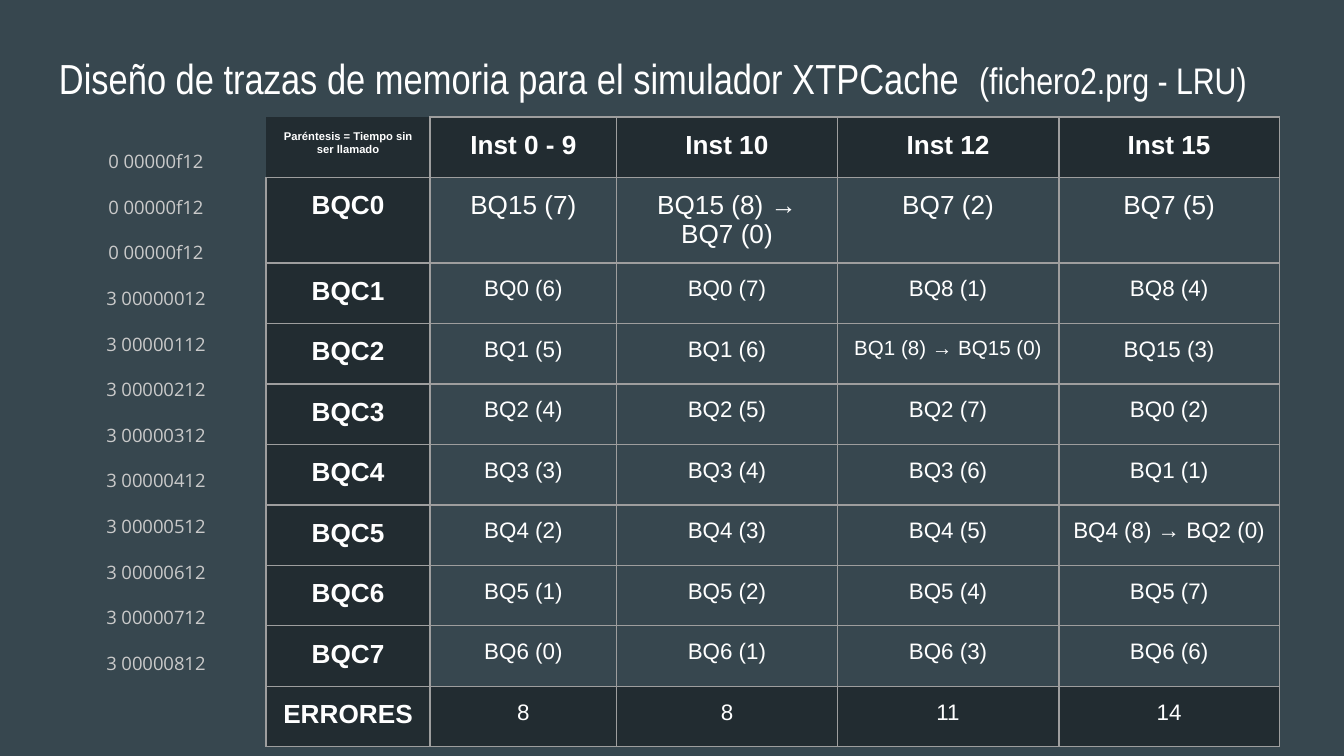
from dataclasses import dataclass

from lxml.etree import SubElement
from pptx import Presentation
from pptx.dml.color import RGBColor
from pptx.enum.text import MSO_ANCHOR, PP_ALIGN
from pptx.oxml.ns import qn
from pptx.util import Inches, Pt


@dataclass(frozen=True)
class Theme:
    background: str = "37474F"
    header_fill: str = "222C31"
    border: str = "9E9E9E"
    light: str = "FFFFFF"
    muted: str = "CACACA"
    title_font: str = "Arial Narrow"
    trace_font: str = "Open Sans"
    table_font: str = "Arial"
    title_size: float = 22.5
    subtitle_size: float = 19.8
    trace_size: float = 9.9
    heading_size: float = 14
    cell_size: float = 12
    long_cell_size: float = 11
    note_size: float = 6


theme = Theme()


def write(paragraph, text, *, size, font=theme.table_font, color=theme.light,
          bold=False, align=PP_ALIGN.CENTER):
    paragraph.alignment = align
    run = paragraph.add_run()
    run.text = text
    run.font.size = Pt(size)
    run.font.name = font
    run.font.bold = bold
    run.font.color.rgb = RGBColor.from_string(color)


def draw_borders(cell, visible_sides):
    properties = cell._tc.get_or_add_tcPr()
    for side in "LRTB":
        line = SubElement(properties, qn(f"a:ln{side}"), w=str(Pt(0.75)))
        if side in visible_sides:
            fill = SubElement(line, qn("a:solidFill"))
            SubElement(fill, qn("a:srgbClr"), val=theme.border)
        else:
            SubElement(line, qn("a:noFill"))


# Widescreen slide, 16:9
prs = Presentation()
prs.slide_width = Inches(10)
prs.slide_height = prs.slide_width * 9 // 16
slide = prs.slides.add_slide(prs.slide_layouts[6])
slide.background.fill.solid()
slide.background.fill.fore_color.rgb = RGBColor.from_string(theme.background)

# Title
title = slide.shapes.add_textbox(Inches(0.34), Inches(0.29), Inches(9.32), Inches(0.63)).text_frame
title.word_wrap = True
title.vertical_anchor = MSO_ANCHOR.TOP
title.margin_left = title.margin_right = title.margin_top = title.margin_bottom = Inches(0.1)
for part, size in (
    ("Diseño de trazas de memoria para el simulador XTPCache ", theme.title_size),
    (" (fichero2.prg - LRU)", theme.subtitle_size),
):
    write(title.paragraphs[0], part, size=size, font=theme.title_font, align=PP_ALIGN.LEFT)

# Memory trace
addresses = ["0 00000f12"] * 3 + [f"3 00000{block}12" for block in range(9)]
trace = slide.shapes.add_textbox(Inches(0.34), Inches(1.01), Inches(1.64), Inches(4.16)).text_frame
trace.word_wrap = True
trace.margin_left = trace.margin_right = trace.margin_top = trace.margin_bottom = Inches(0.1)
for index, address in enumerate(addresses):
    entry = trace.add_paragraph() if index else trace.paragraphs[0]
    entry.line_spacing = 1.05
    entry.space_before = Pt(12 if index else 0)
    write(entry, address, size=theme.trace_size, font=theme.trace_font, color=theme.muted)

# Cache contents after each instruction
rows = [
    ["Paréntesis = Tiempo sin ser llamado", "Inst 0 - 9", "Inst 10", "Inst 12", "Inst 15"],
    ["BQC0", "BQ15 (7)", "BQ15 (8) → BQ7 (0)", "BQ7 (2)", "BQ7 (5)"],
    ["BQC1", "BQ0 (6)", "BQ0 (7)", "BQ8 (1)", "BQ8 (4)"],
    ["BQC2", "BQ1 (5)", "BQ1 (6)", "BQ1 (8) → BQ15 (0)", "BQ15 (3)"],
    ["BQC3", "BQ2 (4)", "BQ2 (5)", "BQ2 (7)", "BQ0 (2)"],
    ["BQC4", "BQ3 (3)", "BQ3 (4)", "BQ3 (6)", "BQ1 (1)"],
    ["BQC5", "BQ4 (2)", "BQ4 (3)", "BQ4 (5)", "BQ4 (8) → BQ2 (0)"],
    ["BQC6", "BQ5 (1)", "BQ5 (2)", "BQ5 (4)", "BQ5 (7)"],
    ["BQC7", "BQ6 (0)", "BQ6 (1)", "BQ6 (3)", "BQ6 (6)"],
    ["ERRORES", "8", "8", "11", "14"],
]
column_widths = [1.22, 1.39, 1.64, 1.65, 1.64]
row_heights = [0.45, 0.53] + [0.45] * 8
errors_row = len(rows) - 1
special_sizes = {(0, 0): theme.note_size, (3, 3): theme.long_cell_size}

cache = slide.shapes.add_table(
    len(rows), len(column_widths), Inches(1.98), Inches(0.87),
    Inches(sum(column_widths)), Inches(sum(row_heights)),
).table
for column, width in zip(cache.columns, column_widths):
    column.width = Inches(width)
for row, height in zip(cache.rows, row_heights):
    row.height = Inches(height)

for r, values in enumerate(rows):
    for c, value in enumerate(values):
        cell = cache.cell(r, c)
        is_heading = r == 0 or c == 0
        draw_borders(cell, "RB" if r == c == 0 else "LRTB")
        if is_heading or r == errors_row:
            cell.fill.solid()
            cell.fill.fore_color.rgb = RGBColor.from_string(theme.header_fill)
        else:
            cell.fill.background()
        cell.margin_left = cell.margin_right = cell.margin_top = Inches(0.1)
        cell.margin_bottom = Inches(0.07 if r == 1 else 0.1)
        default_size = theme.heading_size if is_heading or r == 1 else theme.cell_size
        write(cell.text_frame.paragraphs[0], value,
              size=special_sizes.get((r, c), default_size), bold=is_heading)

prs.save("out.pptx")
